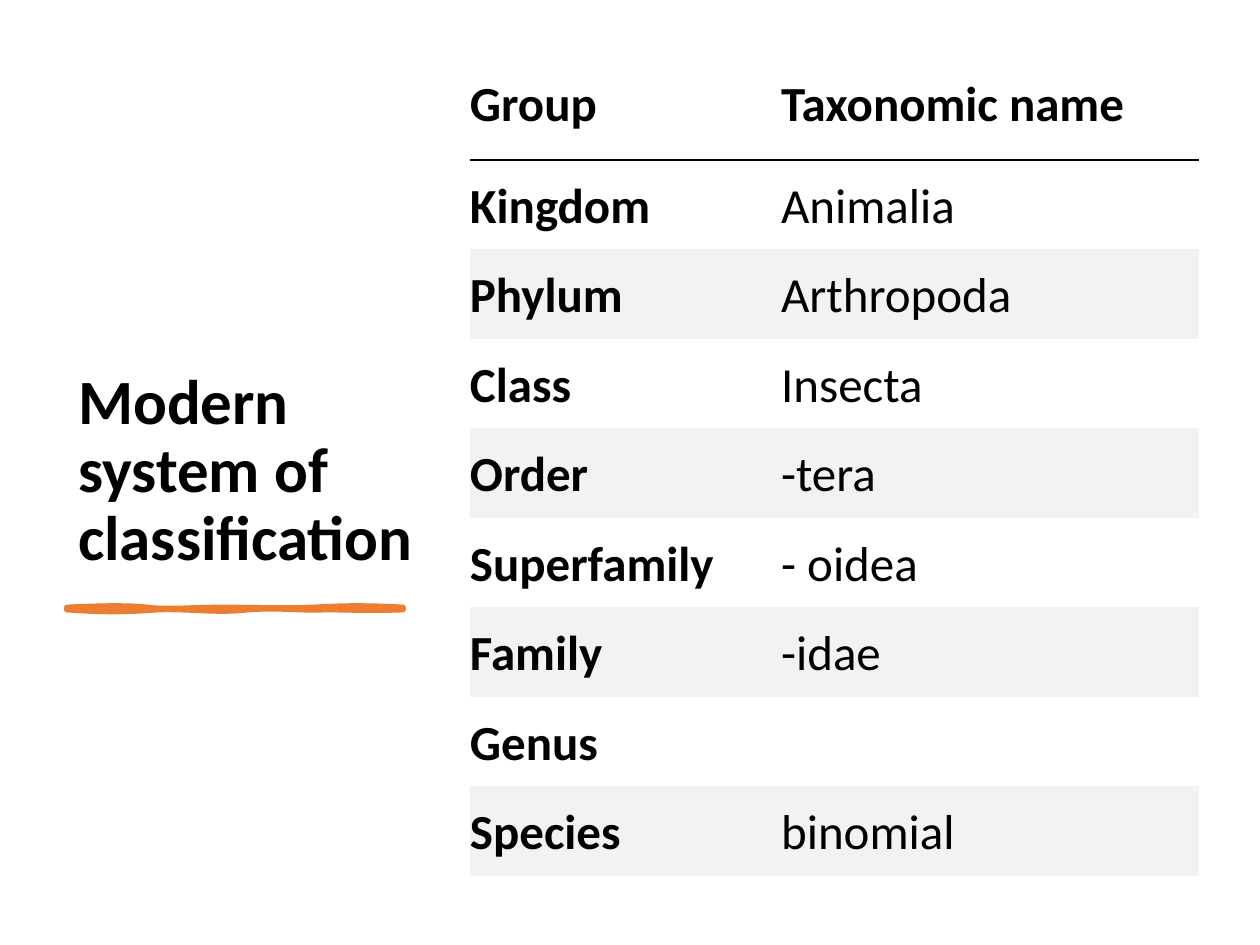
import dataclasses

import lxml.etree
import pptx
import pptx.dml.color
import pptx.enum.text
import pptx.oxml
import pptx.oxml.ns
import pptx.util

Inches = pptx.util.Inches
Pt = pptx.util.Pt
ANCHOR = pptx.enum.text.MSO_ANCHOR

FONT = "Calibri"
BLACK, BAND, ORANGE = "000000", "F2F2F2", "ED7D31"
NO_STYLE = "{2D5ABB26-0587-4C30-8999-92F81FD0307C}"
COL_WIDTHS = (2.47, 3.32)
ROW_HEIGHT = 0.71


@dataclasses.dataclass
class Rank:
    group: str
    name: str


HEADER = Rank("Group", "Taxonomic name")
RANKS = [
    Rank("Kingdom", "Animalia"),
    Rank("Phylum", "Arthropoda"),
    Rank("Class", "Insecta"),
    Rank("Order", "-tera"),
    Rank("Superfamily", "- oidea"),
    Rank("Family", "-idae"),
    Rank("Genus", ""),
    Rank("Species", "binomial"),
]

# Brush stroke: a start point, then cubic segments (two controls and an end)
STROKE_START = (0.53, 4.82)
STROKE_CURVES = [
    ((0.75, 4.81), (1.01, 4.8), (1.17, 4.82)),
    ((1.32, 4.84), (1.52, 4.82), (1.76, 4.82)),
    ((1.99, 4.82), (2.28, 4.83), (2.48, 4.82)),
    ((2.68, 4.81), (2.87, 4.8), (3.2, 4.82)),
    ((3.2, 4.83), (3.2, 4.83), (3.2, 4.84)),
    ((2.9, 4.85), (2.8, 4.84), (2.58, 4.84)),
    ((2.37, 4.85), (2.22, 4.82), (1.97, 4.84)),
    ((1.72, 4.87), (1.51, 4.83), (1.25, 4.84)),
    ((0.99, 4.86), (0.8, 4.86), (0.53, 4.84)),
]


def rgb(color: str) -> pptx.dml.color.RGBColor:
    return pptx.dml.color.RGBColor.from_string(color)


def set_text(tf, text: str, size: float, bold: bool, spacing: float) -> None:
    tf.text = text
    p = tf.paragraphs[0]
    p.alignment = pptx.enum.text.PP_ALIGN.LEFT
    p.line_spacing = spacing
    for r in p.runs:
        r.font.name = FONT
        r.font.size = Pt(size)
        r.font.bold = bold
        r.font.color.rgb = rgb(BLACK)


def add_bottom_border(cell, color: str, width: float) -> None:
    ns = pptx.oxml.ns.nsdecls("a")
    line = pptx.oxml.parse_xml(
        f'<a:lnB {ns} w="{Pt(width)}"><a:solidFill>'
        f'<a:srgbClr val="{color}"/></a:solidFill></a:lnB>'
    )
    cell._tc.get_or_add_tcPr().insert(0, line)


def curve_points(start: tuple, curves: list, steps: int = 10) -> list:
    points = []
    for c1, c2, end in curves:
        for i in range(1, steps + 1):
            t = i / steps
            u = 1 - t
            points.append(tuple(
                Inches(u**3 * a + 3 * u * u * t * b + 3 * u * t * t * c + t**3 * d)
                for a, b, c, d in zip(start, c1, c2, end)
            ))
        start = end
    return points


def add_stroke(s) -> None:
    x, y = STROKE_START
    builder = s.shapes.build_freeform(Inches(x), Inches(y))
    builder.add_line_segments(curve_points(STROKE_START, STROKE_CURVES), close=True)
    sp = builder.convert_to_shape()
    sp.shadow.inherit = False
    sp.fill.solid()
    sp.fill.fore_color.rgb = rgb(ORANGE)
    sp.line.color.rgb = rgb(ORANGE)
    sp.line.width = Pt(3)


def add_rank_table(s) -> None:
    rows = [HEADER, *RANKS]
    frame = s.shapes.add_table(
        len(rows), len(COL_WIDTHS), Inches(3.73), Inches(0.56),
        Inches(sum(COL_WIDTHS)), Inches(ROW_HEIGHT * len(rows)),
    )
    table = frame.table
    table._tbl.tblPr.find(pptx.oxml.ns.qn("a:tableStyleId")).text = NO_STYLE
    for column, width in zip(table.columns, COL_WIDTHS):
        column.width = Inches(width)
    for i, rank in enumerate(rows):
        table.rows[i].height = Inches(ROW_HEIGHT)
        for j, text in enumerate((rank.group, rank.name)):
            cell = table.cell(i, j)
            cell.margin_left = cell.margin_right = 0
            cell.margin_top = cell.margin_bottom = 0
            cell.vertical_anchor = ANCHOR.MIDDLE if i else ANCHOR.TOP
            set_text(cell.text_frame, text, 28, i == 0 or j == 0, 1.07)
            if i and i % 2 == 0:
                cell.fill.solid()
                cell.fill.fore_color.rgb = rgb(BAND)
            else:
                cell.fill.background()
            if i == 0:
                add_bottom_border(cell, BLACK, 1)


def main() -> None:
    prs = pptx.Presentation()
    prs.slide_width, prs.slide_height = Inches(10), Inches(7.5)
    s = prs.slides.add_slide(prs.slide_layouts[5])

    # Title
    title = s.shapes.title
    title.left, title.top = Inches(0.52), Inches(0.7)
    title.width, title.height = Inches(2.93), Inches(3.91)
    tf = title.text_frame
    tf.word_wrap = True
    tf.auto_size = pptx.enum.text.MSO_AUTO_SIZE.NONE
    tf.vertical_anchor = ANCHOR.BOTTOM
    set_text(tf, "Modern system of classification", 36, True, 0.9)

    # Underline and table
    add_stroke(s)
    add_rank_table(s)

    prs.save("out.pptx")


if __name__ == "__main__":
    main()
